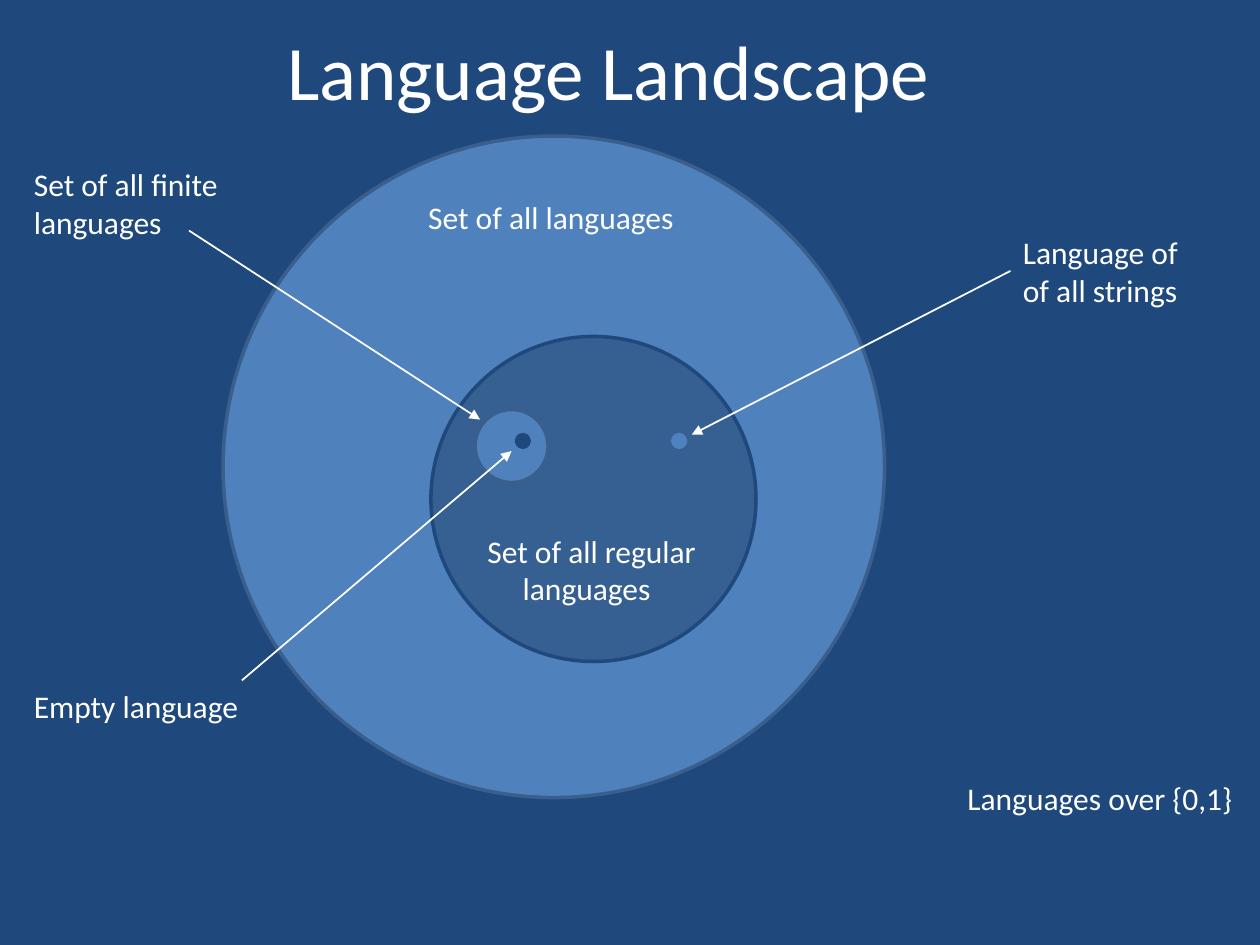
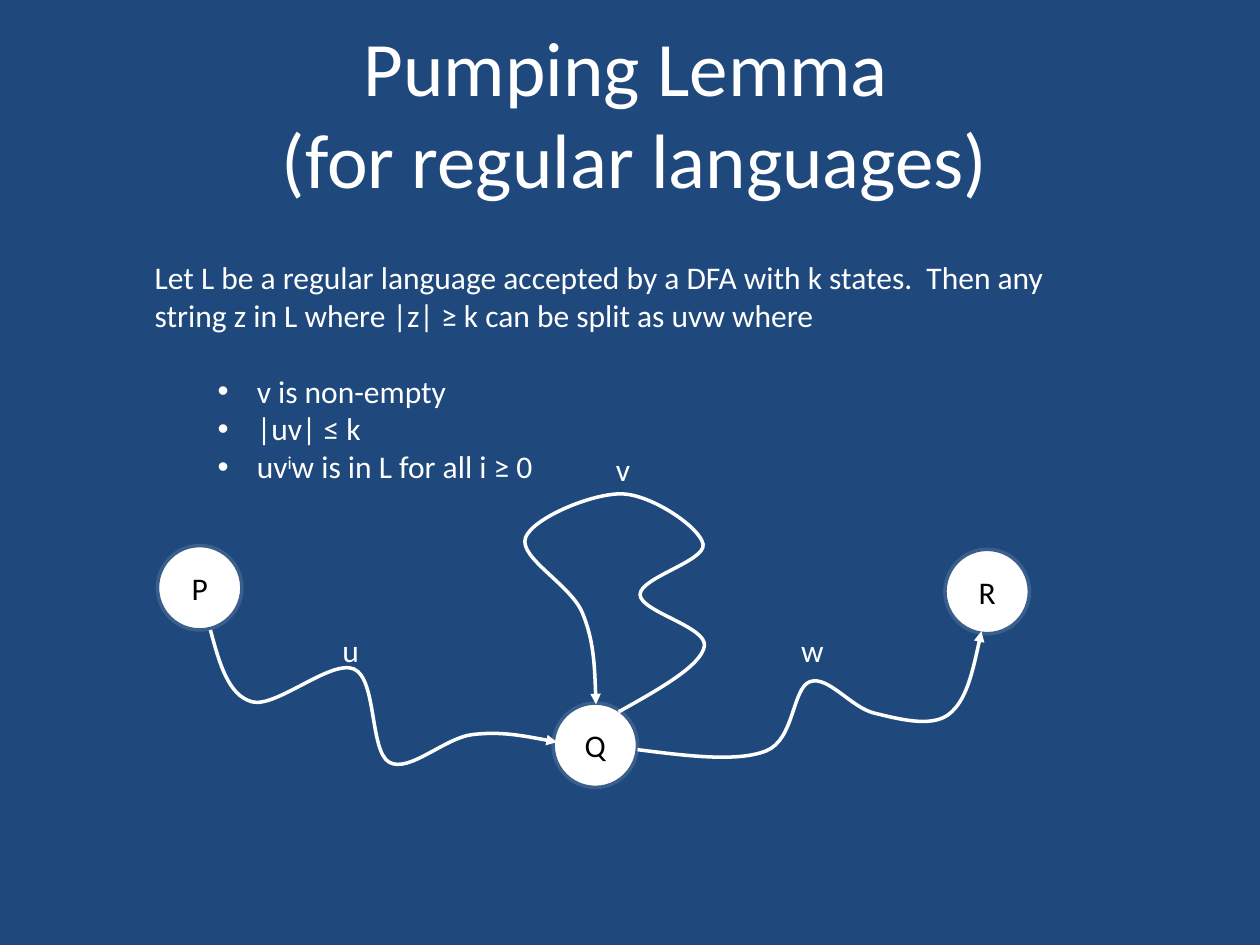
from lxml import etree
from pptx import Presentation
from pptx.dml.color import RGBColor
from pptx.enum.shapes import MSO_CONNECTOR, MSO_SHAPE
from pptx.enum.text import MSO_ANCHOR, MSO_AUTO_SIZE, PP_ALIGN
from pptx.oxml.ns import qn
from pptx.util import Inches, Pt

OVAL, STRAIGHT = MSO_SHAPE.OVAL, MSO_CONNECTOR.STRAIGHT
LEFT, CENTER = PP_ALIGN.LEFT, PP_ALIGN.CENTER
TOP, MIDDLE = MSO_ANCHOR.TOP, MSO_ANCHOR.MIDDLE
GROW = MSO_AUTO_SIZE.SHAPE_TO_FIT_TEXT

FONT, TITLE_SIZE, BODY_SIZE = "Calibri", 44, 18
NAVY, BLUE, DEEP, EDGE = "1F497D", "4F81BD", "376092", "3A5F8C"
WHITE, BLACK = "FFFFFF", "000000"

# Slide 1: (left, top, diameter, fill, outline), outermost set first
SETS = [
    (1.77, 1.08, 5.25, BLUE, EDGE),
    (3.42, 2.67, 2.58, DEEP, NAVY),
    (3.77, 3.25, 0.58, BLUE, EDGE),
    (4.10, 3.45, 0.10, NAVY, NAVY),
    (5.34, 3.45, 0.10, BLUE, BLUE),
]
# (text, left, top, width, height)
REGULAR_LABEL = ("Set of all regular\vlanguages", 3.77, 4.17, 1.88, 0.71)
SET_LABELS = [
    ("Set of all languages", 3.3, 1.52, 2.17, 0.4),
    ("Set of all finite\nlanguages", 0.17, 1.26, 1.68, 0.71),
    ("Languages over {0,1}", 7.58, 6.13, 2.33, 0.4),
    ("Empty language", 0.17, 5.4, 1.84, 0.4),
    ("Language of\vof all strings", 8.02, 1.8, 1.45, 0.71),
]
POINTERS = [
    ((1.5, 1.83), (3.81, 3.33)),
    ((1.92, 5.4), (4.06, 3.58)),
    ((8.02, 2.15), (5.49, 3.45)),
]

# Slide 2
LEMMA = ("Let L be a regular language accepted by a DFA with k states.  "
         "Then any string z in L where |z| ≥ k can be split as uvw where")
# each condition is a list of (text, is superscript)
CONDITIONS = [
    [("v is non-empty", False)],
    [("|uv| ≤ k", False)],
    [("uv", False), ("i", True), ("w is in L for all i ≥ 0", False)],
]
STATE_SIZE = 0.67
STATES = [("P", 1.25, 4.33), ("R", 7.5, 4.36), ("Q", 4.39, 5.58)]
# points each walk through the automaton passes
WALKS = [
    [(1.67, 5), (2, 5.57), (2.81, 5.31), (3.09, 6.05), (3.75, 5.83),
     (4.42, 5.89)],
    [(4.91, 5.65), (5.59, 5.13), (5.08, 4.72), (5.58, 4.32), (4.94, 3.92),
     (4.17, 4.27), (4.62, 4.86), (4.73, 5.59)],
    [(5.06, 5.95), (6.08, 5.96), (6.43, 5.41), (6.94, 5.66), (7.53, 5.67),
     (7.79, 5.01)],
]
WALK_LABELS = [
    ("u", 2.62, 4.96, 0.34, 0.4),
    ("w", 6.26, 4.96, 0.38, 0.4),
    ("v", 4.79, 3.52, 0.32, 0.4),
]


def color(value):
    """Turn a hex string into a colour."""
    return RGBColor.from_string(value)


def style_text(frame, size, tint, align=LEFT, anchor=TOP):
    """Format every run of a text frame alike."""
    frame.vertical_anchor = anchor
    for para in frame.paragraphs:
        para.alignment = align
        para.font.size = Pt(size)
        for span in para.runs:
            span.font.name = FONT
            span.font.size = Pt(size)
            span.font.color.rgb = color(tint)


def add_box(page, text, left, top, width, height, wrap=False):
    """Add an unformatted text box and return its text frame."""
    box = page.shapes.add_textbox(Inches(left), Inches(top),
                                  Inches(width), Inches(height))
    box.text_frame.word_wrap = wrap
    box.text_frame.text = text
    return box.text_frame


def add_label(page, *content, wrap=False):
    """Add white body text in a box that grows with it."""
    frame = add_box(page, *content, wrap=wrap)
    frame.auto_size = GROW
    style_text(frame, BODY_SIZE, WHITE)
    return frame


def indent(para, margin, first):
    """Set a paragraph's left margin and first-line indent in inches."""
    properties = para._p.get_or_add_pPr()
    properties.set("marL", str(Inches(margin)))
    properties.set("indent", str(Inches(first)))
    return properties


def add_circle(page, left, top, diameter, fill, outline):
    """Add a filled circle with a 2 pt outline."""
    circle = page.shapes.add_shape(OVAL, Inches(left), Inches(top),
                                   Inches(diameter), Inches(diameter))
    circle.shadow.inherit = False
    circle.fill.solid()
    circle.fill.fore_color.rgb = color(fill)
    circle.line.color.rgb = color(outline)
    circle.line.width = Pt(2)
    return circle


def make_arrow(line, width):
    """Draw a line in white, ending in a triangle."""
    line.color.rgb = color(WHITE)
    line.width = Pt(width)
    outline = line._get_or_add_ln()
    etree.SubElement(outline, qn("a:tailEnd"), type="triangle")


def add_pointer(page, start, end):
    """Add a thin straight arrow."""
    pointer = page.shapes.add_connector(
        STRAIGHT, *[Inches(value) for value in (*start, *end)])
    make_arrow(pointer.line, 1)
    etree.SubElement(pointer._element.spPr, qn("a:effectLst"))


def middle(start, end):
    """Return the point halfway between two points."""
    return [(a + b) / 2 for a, b in zip(start, end)]


def curve_segments(knots):
    """Return (handle, handle, end) for each curve between two knots."""
    # at an inner knot the handles follow a sixth of its neighbours' step
    slopes = [[(b - a) / 6 for a, b in zip(before, after)]
              for before, after in zip(knots, knots[2:])]
    inner = list(zip(knots[1:-1], slopes))
    arrive = [[k - s for k, s in zip(*pair)] for pair in inner]
    leave = [[k + s for k, s in zip(*pair)] for pair in inner]
    # at a free end the handle lies halfway to the other handle
    leave.insert(0, middle(knots[0], arrive[0]))
    arrive.append(middle(leave[-1], knots[-1]))
    return list(zip(leave, arrive, knots[1:]))


def add_walk(page, knots):
    """Add a curved arrow through the knots."""
    corners = [(Inches(x), Inches(y)) for x, y in knots]
    builder = page.shapes.build_freeform(*corners[0], scale=1.0)
    builder.add_line_segments(corners[1:], close=False)
    walk = builder.convert_to_shape()
    walk.shadow.inherit = False
    walk.fill.background()
    make_arrow(walk.line, 2)
    lines = list(walk._element.iter(qn("a:lnTo")))
    for line, segment in zip(lines, curve_segments(knots)):
        curve = etree.Element(qn("a:cubicBezTo"))
        for x, y in segment:
            etree.SubElement(curve, qn("a:pt"), x=str(Inches(x) - walk.left),
                             y=str(Inches(y) - walk.top))
        line.getparent().replace(line, curve)


def add_lemma(page):
    """Add the lemma with its bulleted conditions."""
    frame = add_label(page, LEMMA, 1.13, 2, 7.33, 2.52, wrap=True)
    for number, parts in enumerate(CONDITIONS):
        para = frame.add_paragraph()
        if number == 0:
            para.space_before = Pt(21.6)
        properties = indent(para, 0.81, -0.31)
        etree.SubElement(properties, qn("a:buFont"), typeface="Arial")
        etree.SubElement(properties, qn("a:buChar"), char="•")
        for text, raised in parts:
            span = para.add_run()
            span.text = text
            if raised:
                span._r.get_or_add_rPr().set("baseline", "30000")
    style_text(frame, BODY_SIZE, WHITE)


def add_page(deck, title, *place):
    """Add a navy slide with a large centred title."""
    page = deck.slides.add_slide(deck.slide_layouts[6])
    page.background.fill.solid()
    page.background.fill.fore_color.rgb = color(NAVY)
    frame = add_box(page, title, *place, wrap=True)
    style_text(frame, TITLE_SIZE, WHITE, CENTER, MIDDLE)
    return page


def build_landscape(deck):
    """Build the slide of nested language sets."""
    page = add_page(deck, "Language Landscape", 0.58, -0.25, 8.5, 1.61)
    for circle in SETS:
        add_circle(page, *circle)
    regular = add_label(page, *REGULAR_LABEL)
    indent(regular.paragraphs[0], 0.28, -0.28)
    for label in SET_LABELS:
        add_label(page, *label)
    for start, end in POINTERS:
        add_pointer(page, start, end)


def build_pumping(deck):
    """Build the slide of the pumping lemma."""
    page = add_page(deck, "Pumping Lemma \v(for regular languages)",
                    0.25, 0.08, 9.58, 1.61)
    add_lemma(page)
    for name, left, top in STATES:
        state = add_circle(page, left, top, STATE_SIZE, WHITE, EDGE)
        state.text_frame.text = name
        style_text(state.text_frame, BODY_SIZE, BLACK, CENTER, MIDDLE)
    for knots in WALKS:
        add_walk(page, knots)
    for label in WALK_LABELS:
        add_label(page, *label)


deck = Presentation()
deck.slide_width, deck.slide_height = Inches(10), Inches(7.5)
build_landscape(deck)
build_pumping(deck)
deck.save("out.pptx")
